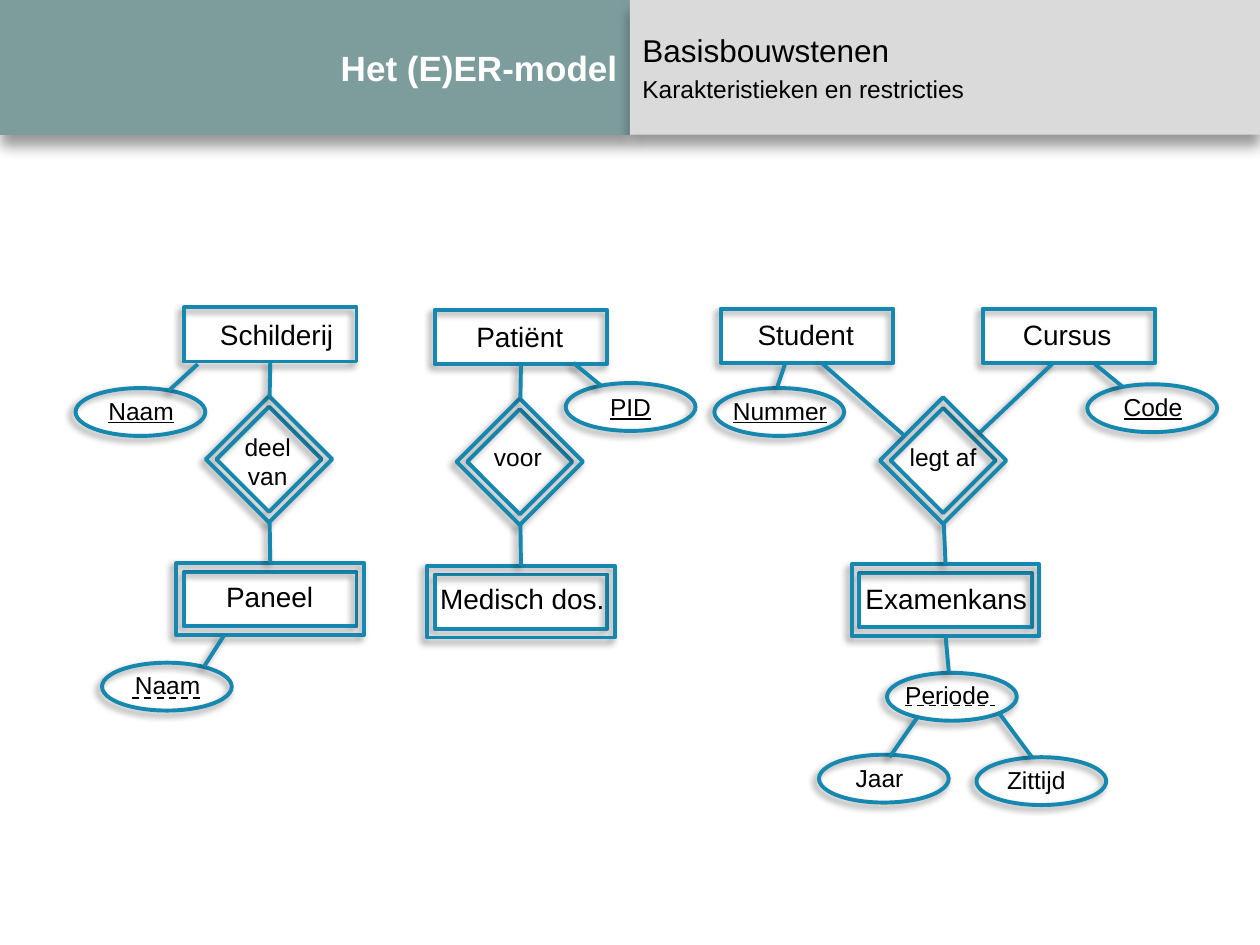
"""Slide with EER diagrams of weak entities and their attributes."""
from dataclasses import dataclass, field
from typing import Any, NamedTuple

from lxml.etree import SubElement
from pptx import Presentation
from pptx.dml.color import RGBColor as Rgb
from pptx.enum.dml import MSO_LINE_DASH_STYLE as Dash
from pptx.enum.shapes import MSO_CONNECTOR as Conn, MSO_SHAPE as Shape
from pptx.enum.text import MSO_ANCHOR as Anchor, MSO_AUTO_SIZE as AutoSize, PP_ALIGN as Align
from pptx.oxml.ns import qn
from pptx.util import Inches, Pt


class Shadow(NamedTuple):
    blur: int
    dist: int
    angle: int


class Kind(NamedTuple):
    preset: Any
    w: float
    h: float
    size: int
    label_h: float
    rotation: int = 0
    pads: tuple = ((0, 0),)


@dataclass(frozen=True)
class Theme:
    font: str = "Arial"
    ink: Rgb = Rgb(0, 0, 0)
    white: Rgb = Rgb(255, 255, 255)
    line: Rgb = Rgb.from_string("1687AF")
    title_fill: Rgb = Rgb.from_string("7D9D9D")
    body_fill: Rgb = Rgb.from_string("DADADA")
    title_size: int = 20
    head_size: int = 18
    sub_size: int = 14
    line_width: float = 2.25
    dash_width: float = 1
    band_shadow: Shadow = Shadow(8, 6, 90)
    node_shadow: Shadow = Shadow(4, 3, 135)


@dataclass(frozen=True)
class Node:
    kind: Kind
    text: str
    x: float
    y: float
    label_x: float
    label_y: float
    label_w: float
    fmt: dict = field(default_factory=dict)


class Link(NamedTuple):
    x1: float
    y1: float
    x2: float
    y2: float
    begin: tuple = ()
    end: tuple = ()


THEME = Theme()
TOP, BOTTOM = 0, 2
KEY = {"underline": True}
STRONG = Kind(Shape.RECTANGLE, 1.37, 0.43, 16, 0.37)
WEAK = STRONG._replace(pads=((0, 0), (0.06, 0.07)))
RELATION = Kind(Shape.RECTANGLE, 0.59, 0.59, 14, 0.33, 45, ((0, 0), (0.06, 0.06)))
ATTRIBUTE = Kind(Shape.OVAL, 1.03, 0.38, 14, 0.33)

NODES = [
    Node(STRONG, "Schilderij", 1.46, 2.44, 1.64, 2.47, 1.11),
    Node(STRONG, "Patiënt", 3.45, 2.46, 3.68, 2.49, 0.89),
    Node(STRONG, "Student", 5.72, 2.45, 5.91, 2.47, 0.97),
    Node(STRONG, "Cursus", 7.8, 2.45, 8.02, 2.47, 0.9),
    Node(WEAK, "Paneel", 1.46, 4.54, 1.69, 4.55, 0.9),
    Node(WEAK, "Medisch dos.", 3.45, 4.56, 3.39, 4.57, 1.51),
    Node(WEAK, "Examenkans", 6.82, 4.55, 6.76, 4.57, 1.5),
    Node(RELATION, "deel\nvan", 1.84, 3.35, 1.84, 3.38, 0.57),
    Node(RELATION, "voor", 3.83, 3.37, 3.82, 3.46, 0.58),
    Node(RELATION, "legt af", 7.19, 3.36, 7.12, 3.46, 0.73),
    Node(ATTRIBUTE, "Naam", 0.6, 3.08, 0.76, 3.09, 0.72, KEY),
    Node(ATTRIBUTE, "PID", 4.49, 3.04, 4.74, 3.06, 0.53, KEY),
    Node(ATTRIBUTE, "Nummer", 5.67, 3.08, 5.69, 3.09, 1, KEY),
    Node(ATTRIBUTE, "Code", 8.63, 3.05, 8.79, 3.06, 0.72, KEY),
    Node(ATTRIBUTE, "Naam", 0.81, 5.26, 0.97, 5.27, 0.72),
    Node(ATTRIBUTE, "Periode", 7.04, 5.34, 7.08, 5.35, 0.88),
    Node(ATTRIBUTE, "Jaar", 6.5, 5.99, 6.69, 6.01, 0.58),
    Node(ATTRIBUTE, "Zittijd", 7.75, 6.01, 7.89, 6.02, 0.67),
]
LINKS = [
    Link(2.14, 3.15, 2.14, 2.86, end=("Schilderij", BOTTOM)),
    Link(2.13, 4.47, 2.14, 4.13, begin=("Paneel", TOP)),
    Link(4.13, 3.16, 4.13, 2.88, end=("Patiënt", BOTTOM)),
    Link(4.12, 4.49, 4.13, 4.15, begin=("Medisch dos.", TOP)),
    Link(7.49, 4.49, 7.49, 4.15, begin=("Examenkans", TOP)),
    Link(7.53, 5.33, 7.52, 5.06, end=("Examenkans", BOTTOM)),
    Link(7.17, 3.45, 6.52, 2.88),
    Link(7.78, 3.43, 8.36, 2.88),
    Link(1.34, 3.1, 1.57, 2.89),
    Link(4.77, 3.06, 4.55, 2.88),
    Link(6.17, 3.07, 6.23, 2.89),
    Link(8.91, 3.07, 8.69, 2.89),
    Link(1.62, 5.29, 1.78, 5.04),
    Link(7.06, 6.01, 7.29, 5.68),
    Link(8.19, 6.01, 7.93, 5.66),
]
PARTIAL_KEYS = [Link(1.05, 5.54, 1.62, 5.54), Link(7.18, 5.6, 7.9, 5.6)]


def assign(obj: Any, fmt: dict) -> None:
    """Set every attribute named in the format."""
    for name, value in fmt.items():
        setattr(obj, name, value)


def set_shadow(s: Any, shadow: Shadow | None) -> None:
    """Give a shape its own outer shadow, or none."""
    effects = SubElement(s._element.spPr, qn("a:effectLst"))
    if shadow:
        outer = SubElement(effects, qn("a:outerShdw"), blurRad=str(Pt(shadow.blur)),
                           dist=str(Pt(shadow.dist)), dir=str(shadow.angle * 60000),
                           algn="ctr", rotWithShape="0")
        color = SubElement(outer, qn("a:srgbClr"), val="000000")
        SubElement(color, qn("a:alpha"), val="40000")


def write(p: Any, text: str, size: int, align: Any, color: Rgb = THEME.ink, **fmt: Any) -> None:
    """Fill a paragraph with formatted text."""
    p.text, p.alignment = text, align
    for r in p.runs:
        assign(r.font, {"name": THEME.font, "size": Pt(size), **fmt})
        r.font.color.rgb = color


def style_band(s: Any, left: float, fill: Rgb) -> None:
    """Place and colour one half of the header."""
    assign(s, {"left": Inches(left), "top": 0, "width": Inches(5), "height": Inches(1.07)})
    s.fill.solid()
    s.fill.fore_color.rgb = fill
    s.line.fill.background()
    set_shadow(s, THEME.band_shadow)
    assign(s.text_frame, {"vertical_anchor": Anchor.MIDDLE, "word_wrap": True,
                          "auto_size": AutoSize.NONE})


def draw_header(slide: Any) -> None:
    """Draw the title and the subject beside it."""
    title = slide.shapes.title
    style_band(title, 0, THEME.title_fill)
    write(title.text_frame.paragraphs[0], "Het (E)ER-model", THEME.title_size,
          Align.RIGHT, THEME.white, bold=True)
    body = slide.shapes.add_shape(Shape.RECTANGLE, 0, 0, 0, 0)
    style_band(body, 5, THEME.body_fill)
    tf = body.text_frame
    write(tf.paragraphs[0], "Basisbouwstenen", THEME.head_size, Align.LEFT)
    p = tf.add_paragraph()
    write(p, "Karakteristieken en restricties", THEME.sub_size, Align.LEFT)
    p.space_before = Pt(3)


def draw_node(slide: Any, node: Node) -> Any:
    """Draw a label with its outlines and return the outermost one."""
    kind = node.kind
    lines = node.text.count("\n")
    box = slide.shapes.add_textbox(*map(Inches, (node.label_x, node.label_y, node.label_w,
                                                 kind.label_h + 0.24 * lines)))
    assign(box.text_frame, {"word_wrap": False, "auto_size": AutoSize.SHAPE_TO_FIT_TEXT})
    write(box.text_frame.paragraphs[0], node.text, kind.size, Align.CENTER, **node.fmt)
    for dx, dy in kind.pads:
        s = slide.shapes.add_shape(kind.preset, *map(Inches, (
            node.x - dx, node.y - dy, kind.w + 2 * dx, kind.h + 2 * dy)))
        s.rotation = kind.rotation
        s.fill.background()
        s.line.color.rgb, s.line.width = THEME.line, Pt(THEME.line_width)
        set_shadow(s, THEME.node_shadow)
    return s


def draw_link(slide: Any, link: Link, shapes: dict, color: Rgb, shadow: Shadow | None,
              **fmt: Any) -> None:
    """Draw a line and join it to the entities it names."""
    s = slide.shapes.add_connector(Conn.STRAIGHT, *map(Inches, link[:4]))
    for join, target in ((s.begin_connect, link.begin), (s.end_connect, link.end)):
        if target:
            join(shapes[target[0]], target[1])
    s.line.color.rgb = color
    assign(s.line, fmt)
    set_shadow(s, shadow)


def main() -> None:
    """Build and save the slide."""
    prs = Presentation()
    prs.slide_width, prs.slide_height = Inches(10), Inches(7.5)
    slide = prs.slides.add_slide(prs.slide_layouts[5])
    draw_header(slide)
    shapes = {node.text: draw_node(slide, node) for node in NODES}
    for link in LINKS:
        draw_link(slide, link, shapes, THEME.line, THEME.node_shadow, width=Pt(THEME.line_width))
    for link in PARTIAL_KEYS:
        draw_link(slide, link, shapes, THEME.ink, None, width=Pt(THEME.dash_width),
                  dash_style=Dash.DASH)
    prs.save("out.pptx")


if __name__ == "__main__":
    main()
